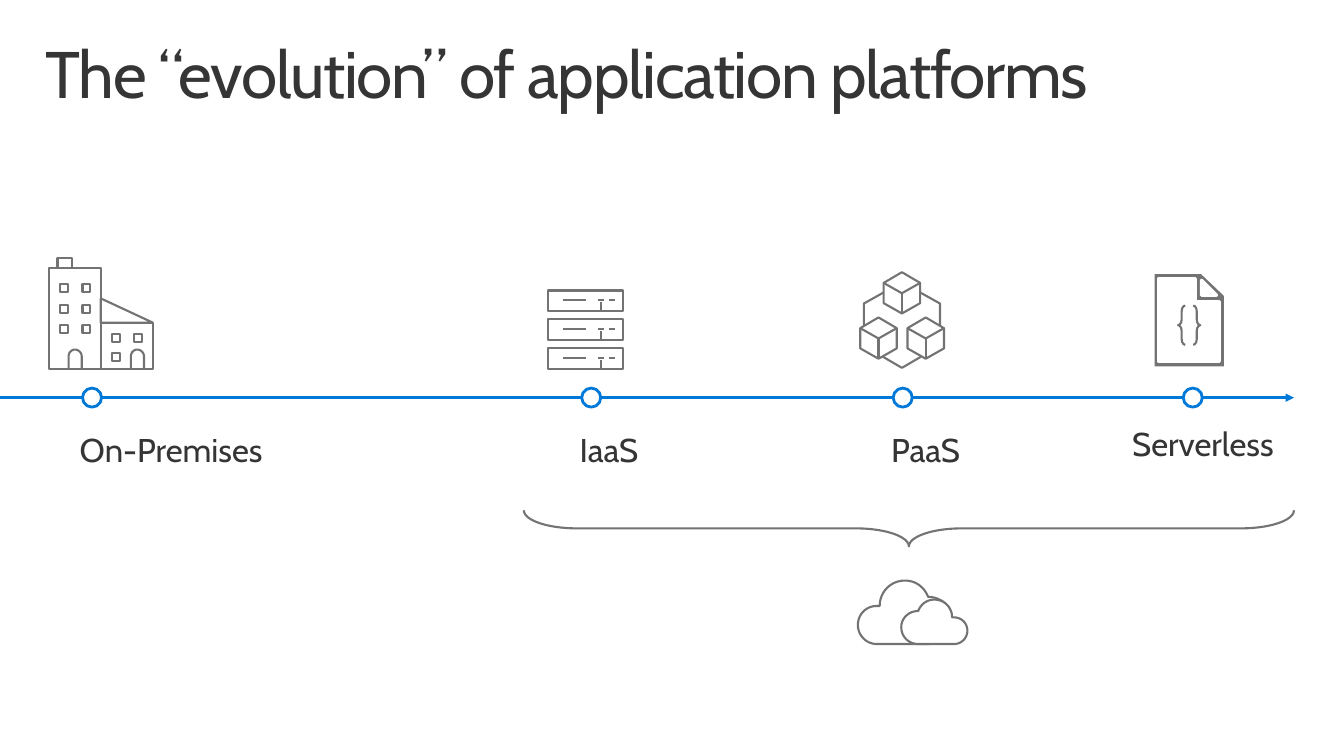
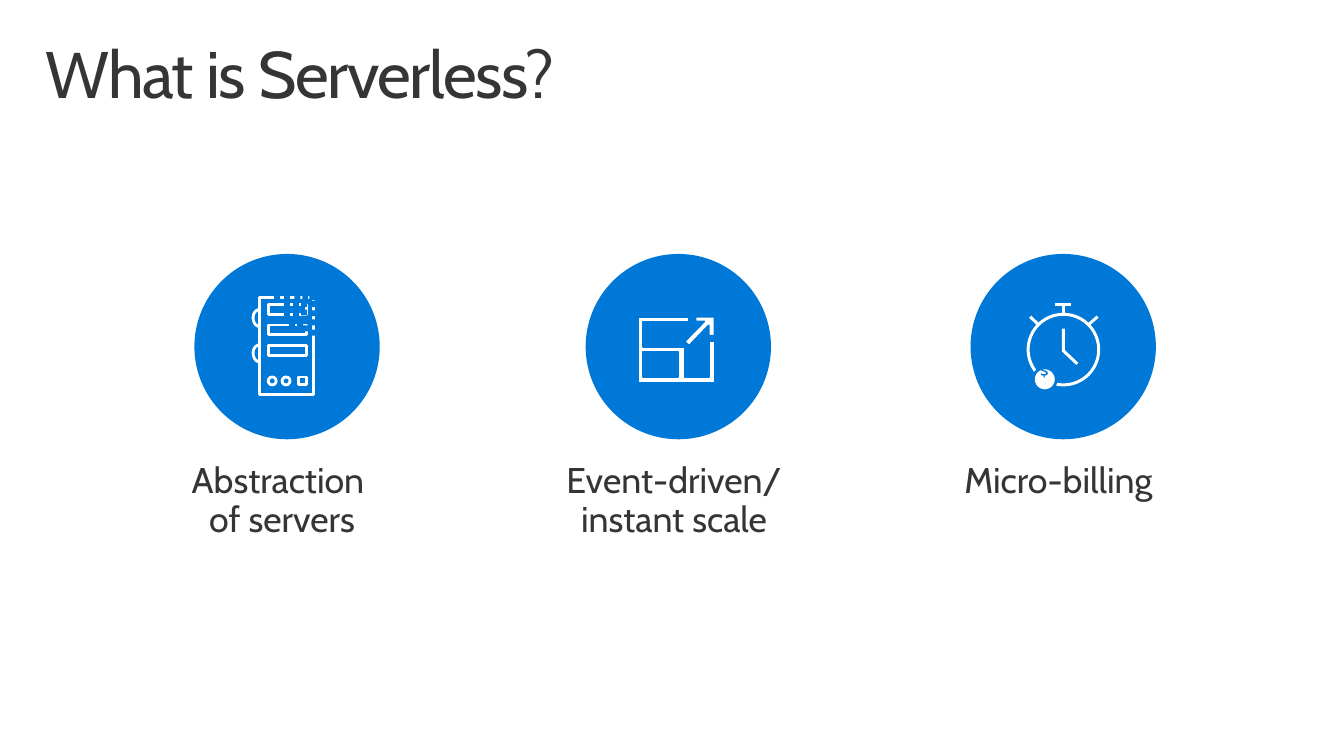
"""Builds two slides: the evolution of application platforms, and what serverless is."""
from itertools import product

from lxml import etree
from pptx import Presentation
from pptx.enum import shapes as kinds, text as txt
from pptx.dml.color import RGBColor
from pptx.oxml import ns
from pptx.util import Cm, Pt

COLORS = {"ink": "353535", "blue": "0078D7", "gray": "737373", "white": "FFFFFF"}
FONT = "Cabin"
RECT = kinds.MSO_SHAPE.RECTANGLE
OVAL = kinds.MSO_SHAPE.OVAL
BOX_INSETS = (0.51, 0.41, 0.51, 0.41)
TITLE_INSETS = (0.41, 0.25, 0.41, 0.25)
CAPTION_INSETS = (0.25, 0.41, 0.51, 0.41)

EVOLUTION_TITLE = "The “evolution” of application platforms"
AXIS_Y, AXIS_END, MARKER = 10.02, 32.61, 0.48
STAGES = [
    ("On-Premises", 2.32, (1.5, 10.54, 5.82, 1.73)),
    ("IaaS", 14.9, (14.1, 10.54, 2.57, 1.73)),
    ("PaaS", 22.75, (21.95, 10.54, 2.82, 1.73)),
    ("Serverless", 30.06, (28.02, 10.39, 5.2, 1.7)),
]

SERVERLESS_TITLE = "What is Serverless?"
DISC_TOP, DISC = 6.4, 4.67
TRAITS = [
    ("Abstraction \vof servers", 4.9, (3.66, 11.25, 7.16, 2.79)),
    ("Event-driven/ instant scale", 14.76, (13.41, 11.25, 7.42, 2.79)),
    ("Micro-billing", 24.46, (23.39, 11.25, 6.83, 1.8)),
]

BUILDING_BLOCKS = [(1.24, 6.76, 1.3, 2.54), (1.45, 6.5, 0.36, 0.25), (2.54, 8.13, 1.31, 1.17)]
TOWER_WINDOWS = list(product((1.52, 2.08), (7.16, 7.68, 8.2)))
ANNEX_WINDOWS = [(2.82, 8.41), (3.38, 8.41), (2.82, 8.89)]
DOOR = [(0, 0.48), (0, 0.17), (0, 0.08, 0.07, 0, 0.16, 0),
        (0.25, 0, 0.33, 0.08, 0.33, 0.17), (0.33, 0.48)]
DOORS = [(1.73, 8.81), (3.3, 8.81)]

RACK_STROKES = [(1.52, 0.25, 1.68, 0.25), (1.24, 0.25, 1.4, 0.25),
                (0.36, 0.25, 0.94, 0.25), (1.32, 0.3, 1.32, 0.51)]

CUBES = [(22.73, 6.86), (22.14, 8), (23.33, 8)]
CUBE = [(0, 0), (0.46, 0.27), (0.46, 0.78), (0, 1.04), (-0.46, 0.78), (-0.46, 0.27)]
CUBE_TOP = [(0.46, 0.27), (0, 0.53), (-0.46, 0.27)]
CUBE_SIDE_LINK = [(0.46, 0.51), (0.96, 0.79), (0.96, 1.34)]
CUBE_BASE_LINK = [(0.48, 2.13), (0, 2.41), (-0.48, 2.13)]

PAGE = [
    [(30.89, 7.44), (30.28, 6.86), (29.06, 6.86), (29.06, 9.27), (30.89, 9.27)],
    [(30.28, 7.06), (30.66, 7.44), (30.28, 7.44)],
    [(29.21, 9.12), (29.21, 7.01), (30.12, 7.01), (30.12, 7.59), (30.73, 7.59), (30.73, 9.12)],
]
CODE_BRACES = [(kinds.MSO_SHAPE.LEFT_BRACE, 29.69), (kinds.MSO_SHAPE.RIGHT_BRACE, 30.07)]

CLOUD = [(0.55, 0.64), (0.55, 0.28, 0.83, 0, 1.19, 0), (1.44, 0, 1.67, 0.15, 1.77, 0.41),
         (2.1, 0.41, 2.38, 0.66, 2.38, 0.99), (2.38, 1.35, 2.1, 1.6, 1.77, 1.6),
         (0.48, 1.6), (0.2, 1.6, 0, 1.37, 0, 1.12), (0, 0.86, 0.2, 0.64, 0.48, 0.64)]

SERVER_HANDLE = [(0.17, 0.43), (0.07, 0.43, 0, 0.33, 0, 0.2), (0, 0.1, 0.07, 0, 0.17, 0)]
SERVER_LIGHTS = [(OVAL, 6.76), (OVAL, 7.11), (RECT, 7.52)]
PIXELS = [(6.91, 7.42), (7.42, 7.42), (7.62, 7.39), (7.8, 7.42), (7.59, 7.59), (7.39, 7.57),
          (7.59, 7.8), (7.16, 7.39), (7.85, 7.59), (7.82, 7.82), (7.82, 8.05), (7.82, 8.31),
          (7.39, 7.85), (7.49, 8.13), (7.62, 8.2), (7.29, 8.13), (7.16, 7.57), (7.16, 7.87)]

SCALE_FRAME = [
    [(17.86, 9.5), (17.25, 9.5), (17.25, 8.74), (16.21, 8.74), (16.21, 8.1), (17.37, 8.1),
     (17.37, 7.98), (16.08, 7.98), (16.08, 9.65), (18.01, 9.65), (18.01, 8.59), (17.86, 8.59)],
    [(16.21, 8.86), (17.09, 8.86), (17.09, 9.5), (16.21, 9.5)],
]
SCALE_ARROW = [[(17.53, 8.1), (17.75, 8.1), (17.25, 8.61), (17.37, 8.71), (17.86, 8.2),
                (17.86, 8.46), (18.01, 8.46), (18.01, 7.98), (17.53, 7.98)]]

WATCH_HANDS = [(26.8, 8.28), (26.8, 8.84), (27.15, 9.17)]
WATCH_STROKES = [(26.59, 7.67, 27, 7.67), (26.8, 7.92, 26.8, 7.67),
                 (27.66, 7.98, 27.41, 8.2), (25.96, 7.98, 26.19, 8.2)]


def rgb(name):
    return RGBColor.from_string(COLORS[name])


def paint(shape, fill=None, line="gray", width=1.5):
    shape.shadow.inherit = False
    if fill:
        shape.fill.solid()
        shape.fill.fore_color.rgb = rgb(fill)
    else:
        shape.fill.background()
    if line:
        shape.line.color.rgb = rgb(line)
        shape.line.width = Pt(width)
    else:
        shape.line.fill.background()
    return shape


def add_preset(parent, kind, box, **style):
    return paint(parent.shapes.add_shape(kind, *map(Cm, box)), **style)


def add_stroke(parent, ends, line="gray", width=1.5):
    stroke = parent.shapes.add_connector(kinds.MSO_CONNECTOR.STRAIGHT, *map(Cm, ends))
    stroke.line.color.rgb = rgb(line)
    stroke.line.width = Pt(width)
    etree.SubElement(stroke._element.spPr, ns.qn("a:effectLst"))
    return stroke


def flatten(outline, steps=12):
    """Turns points and cubic segments into plain points."""
    points = [outline[0]]
    for step in outline[1:]:
        if len(step) == 2:
            points.append(step)
            continue
        x0, y0 = points[-1]
        x1, y1, x2, y2, x3, y3 = step
        for i in range(1, steps + 1):
            t = i / steps
            a, b, c, d = (1 - t) ** 3, 3 * t * (1 - t) ** 2, 3 * t * t * (1 - t), t ** 3
            points.append((a * x0 + b * x1 + c * x2 + d * x3, a * y0 + b * y1 + c * y2 + d * y3))
    return points


def add_outline(parent, contours, at=(0, 0), scale=(1, 1), close=True, **style):
    builder = None
    for contour in contours:
        first, *rest = [(Cm(at[0] + x * scale[0]), Cm(at[1] + y * scale[1]))
                        for x, y in flatten(contour)]
        if builder is None:
            builder = parent.shapes.build_freeform(*first, scale=1.0)
        else:
            builder.move_to(*first)
        builder.add_line_segments(rest, close=close)
    return paint(builder.convert_to_shape(), **style)


def add_text(parent, words, box, size, insets=BOX_INSETS, color="ink", wrap=True, fit=True,
             align=txt.PP_ALIGN.LEFT):
    frame = parent.shapes.add_textbox(*map(Cm, box)).text_frame
    frame.margin_left, frame.margin_top, frame.margin_right, frame.margin_bottom = map(Cm, insets)
    frame.word_wrap = wrap
    frame.auto_size = txt.MSO_AUTO_SIZE.SHAPE_TO_FIT_TEXT if fit else txt.MSO_AUTO_SIZE.NONE
    frame.text = words
    paragraph = frame.paragraphs[0]
    paragraph.line_spacing = 0.9
    paragraph.alignment = align
    for run in paragraph.runs:
        run.font.size, run.font.name = Pt(size), FONT
        run.font.color.rgb = rgb(color)
    return paragraph


def add_titled_slide(deck, title):
    slide = deck.slides.add_slide(deck.slide_layouts[6])
    heading = add_text(slide, title, (0.74, 0.81, 32.39, 2.49), 47, TITLE_INSETS, fit=False)
    for run in heading.runs:
        run.font._element.set("spc", "-100")
    return slide


def draw_building(slide):
    icon = slide.shapes.add_group_shape()
    for block in BUILDING_BLOCKS:
        add_preset(icon, RECT, block)
    for x, y in TOWER_WINDOWS + ANNEX_WINDOWS:
        add_preset(icon, RECT, (x, y, 0.2, 0.2))
    for door in DOORS:
        add_outline(icon, [DOOR], door, close=False)
    roof = add_preset(icon, kinds.MSO_SHAPE.ISOSCELES_TRIANGLE, (2.54, 7.52, 1.31, 0.61))
    roof.adjustments[0] = 0


def draw_racks(slide):
    icon = slide.shapes.add_group_shape()
    left, top, pitch = 13.82, 7.32, 0.73
    for row in range(3):
        y = top + row * pitch
        add_preset(icon, RECT, (left, y, 1.88, 0.51))
        for x1, y1, x2, y2 in RACK_STROKES:
            add_stroke(icon, (left + x1, y + y1, left + x2, y + y2))


def draw_cubes(slide):
    icon = slide.shapes.add_group_shape()
    for x, y in CUBES:
        add_outline(icon, [CUBE], (x, y))
        add_outline(icon, [CUBE_TOP], (x, y), close=False)
        add_stroke(icon, (x, y + 0.53, x, y + 1.04))
    for side in (1, -1):
        add_outline(icon, [CUBE_SIDE_LINK], CUBES[0], (side, 1), close=False)
    add_outline(icon, [CUBE_BASE_LINK], CUBES[0], close=False)


def draw_code_page(slide):
    icon = slide.shapes.add_group_shape()
    add_outline(icon, PAGE, fill="gray", line="white", width=2.25)
    for kind, x in CODE_BRACES:
        add_preset(icon, kind, (x, 7.7, 0.18, 0.99)).adjustments[0] = 0.8


def draw_clouds(slide):
    brace = add_preset(slide, kinds.MSO_SHAPE.RIGHT_BRACE, (22.45, 3.61, 0.91, 19.41))
    brace.rotation = 90
    brace.adjustments[0] = 1.47
    add_outline(slide, [CLOUD], (21.62, 14.63))
    add_outline(slide, [CLOUD], (24.38, 15.11), (-0.7, 0.7), fill="white")


def draw_fading_server(icon):
    pen = {"line": "white", "width": 2}
    add_preset(icon, RECT, (6.55, 7.49, 1.35, 2.46), **pen)
    for row in range(3):
        add_preset(icon, RECT, (6.76, 7.67 + row * 0.52, 0.97, 0.25), **pen)
    for y in (7.8, 8.69):
        add_outline(icon, [SERVER_HANDLE], (6.38, y), close=False, **pen)
    for kind, x in SERVER_LIGHTS:
        add_preset(icon, kind, (x, 9.5, 0.2, 0.2), **pen)
    for x, y in PIXELS:
        add_preset(icon, RECT, (x, y, 0.15, 0.15), fill="blue", line=None)


def draw_scaling(icon):
    for part in (SCALE_FRAME, SCALE_ARROW):
        add_outline(icon, part, fill="white", line="blue", width=1.25)


def draw_stopwatch(icon):
    pen = {"line": "white", "width": 2.13}
    add_outline(icon, [WATCH_HANDS], close=False, **pen)
    add_preset(icon, OVAL, (25.91, 7.92, 1.78, 1.78), **pen)
    for ends in WATCH_STROKES:
        add_stroke(icon, ends, **pen)
    add_preset(icon, OVAL, (26.04, 9.27, 0.58, 0.58), fill="white", line="blue", width=2)
    add_text(icon, "$", (25.7, 8.94, 1.24, 1.24), 11.8, color="blue", wrap=False)


def build_evolution(deck):
    slide = add_titled_slide(deck, EVOLUTION_TITLE)
    axis = add_stroke(slide, (0, AXIS_Y, AXIS_END, AXIS_Y), "blue", 2)
    etree.SubElement(axis.line._get_or_add_ln(), ns.qn("a:tailEnd"), type="triangle")
    for label, x, box in STAGES:
        add_preset(slide, OVAL, (x - MARKER / 2, AXIS_Y - MARKER / 2, MARKER, MARKER),
                   fill="white", line="blue", width=2)
        add_text(slide, label, box, 23.5, wrap=False)
    for draw in (draw_building, draw_racks, draw_cubes, draw_code_page, draw_clouds):
        draw(slide)


def build_serverless(deck):
    slide = add_titled_slide(deck, SERVERLESS_TITLE)
    icons = (draw_fading_server, draw_scaling, draw_stopwatch)
    for (caption, left, box), draw in zip(TRAITS, icons):
        icon = slide.shapes.add_group_shape()
        add_preset(icon, OVAL, (left, DISC_TOP, DISC, DISC), fill="blue", line=None)
        draw(icon)
        add_text(slide, caption, box, 25.5, CAPTION_INSETS, align=txt.PP_ALIGN.CENTER)


def main():
    deck = Presentation()
    deck.slide_width, deck.slide_height = Cm(33.87), Cm(19.05)
    build_evolution(deck)
    build_serverless(deck)
    deck.save("out.pptx")


if __name__ == "__main__":
    main()
